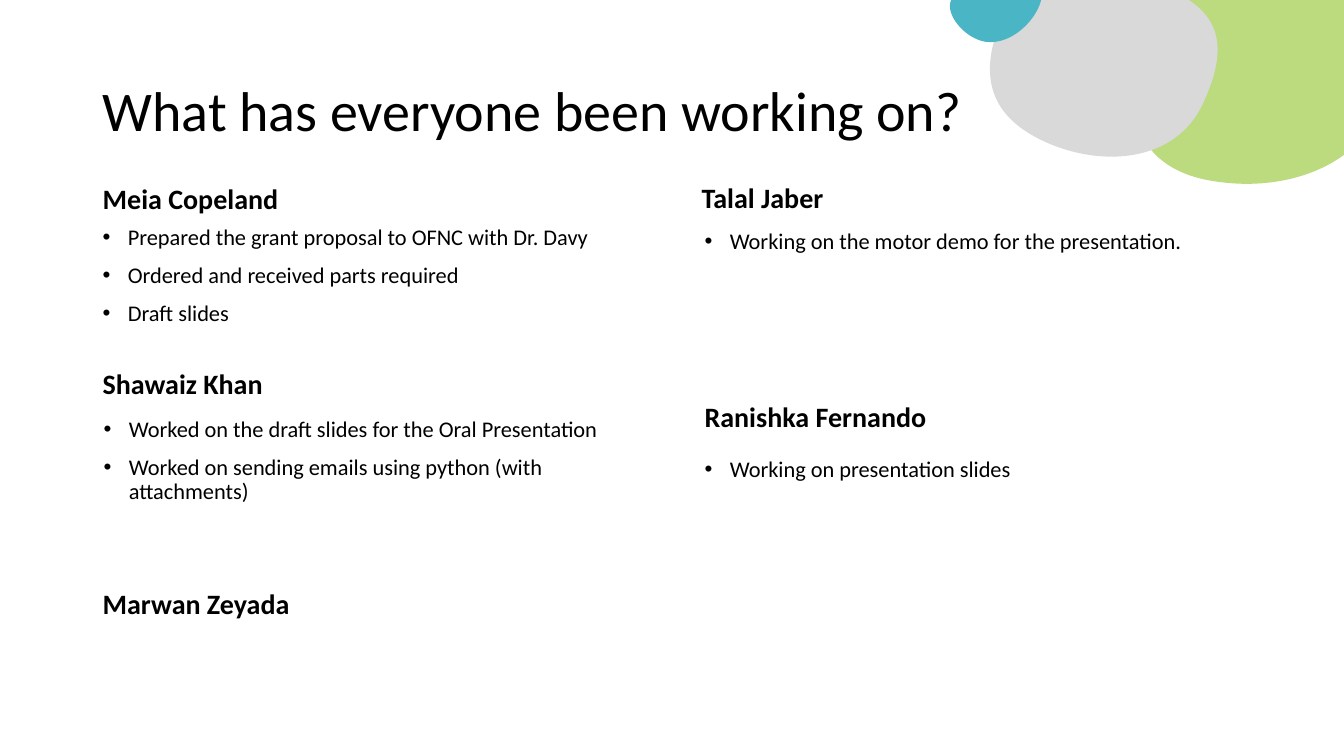
from dataclasses import dataclass

from lxml import etree
from pptx import Presentation
from pptx.dml.color import RGBColor
from pptx.enum.text import MSO_ANCHOR, MSO_AUTO_SIZE, PP_ALIGN
from pptx.oxml.ns import qn
from pptx.util import Inches, Pt

LEFT = PP_ALIGN.LEFT
TOP, MIDDLE, BOTTOM = MSO_ANCHOR.TOP, MSO_ANCHOR.MIDDLE, MSO_ANCHOR.BOTTOM
NO_FIT = MSO_AUTO_SIZE.NONE


@dataclass(frozen=True)
class Theme:
    """Colours, font and type sizes of the slide."""
    font: str = "Calibri"
    text: str = "000000"
    green: str = "BBDB7E"
    grey: str = "D9D9D9"
    teal: str = "4AB5C4"
    title: int = 40
    name: int = 20
    task: int = 16


THEME = Theme()

TITLE = "What has everyone been working on?"
TITLE_BOX = (0.92, 0.4, 11.5, 1.45)

# name, name position, tasks, tasks box, line spacing of the tasks
MEMBERS = [
    ("Meia Copeland", (0.92, 1.59),
     ["Prepared the grant proposal to OFNC with Dr. Davy",
      "Ordered and received parts required",
      "Draft slides"], (0.92, 2.19, 5.64, 1.82), 0.9),
    ("Shawaiz Khan", (0.92, 3.42),
     ["Worked on the draft slides for the Oral Presentation",
      "Worked on sending emails using python (with attachments)"],
     (0.93, 4.1, 5.64, 1.82), 0.9),
    ("Marwan Zeyada", (0.92, 5.61), [], None, None),
    ("Talal Jaber", (6.86, 1.58),
     ["Working on the motor demo for the presentation."],
     (6.89, 2.23, 5.64, 1.26), 0.9),
    ("Ranishka Fernando", (6.89, 3.75),
     ["Working on presentation slides"], (6.89, 4.47, 5.41, 1.95), 1.0),
]
NAME_SIZE = (5.64, 0.6)
INDENT = 0.25

# colour, box, start point, then curves of two control points and an end point
BLOBS = [
    (THEME.green, (11.2, -0.35, 2.6, 2.17), (13.11, -0.32), [
        ((12.37, -0.47), (11.31, -0.23), (11.23, 0.52)),
        ((11.14, 1.27), (11.38, 1.73), (12.13, 1.81)),
        ((12.88, 1.9), (13.67, 1.56), (13.76, 0.81)),
        ((13.84, 0.06), (13.6, -0.22), (13.11, -0.32))]),
    (THEME.grey, (9.81, -0.33, 2.28, 1.9), (11.71, -0.05), [
        ((11.16, -0.38), (10.24, -0.47), (9.97, 0.11)),
        ((9.7, 0.69), (9.77, 1.13), (10.35, 1.4)),
        ((10.93, 1.67), (11.66, 1.61), (11.93, 1.03)),
        ((12.2, 0.45), (12.08, 0.16), (11.71, -0.05))]),
    (THEME.teal, (9.43, -0.2, 0.92, 0.61), (9.43, 0.01), [
        ((9.38, 0.14), (9.55, 0.36), (9.75, 0.41)),
        ((10.09, 0.48), (10.39, 0.05), (10.32, -0.09)),
        ((10.24, -0.27), (9.5, -0.22), (9.43, 0.01))]),
]


def apply(obj, **values):
    """Set each given attribute on an object."""
    for key, value in values.items():
        setattr(obj, key, value)


def add_step(outline, tag, points, left, top):
    """Append one drawing step, with points relative to the box."""
    step = etree.SubElement(outline, qn(tag))
    for x, y in points:
        pt = etree.SubElement(step, qn("a:pt"))
        pt.set("x", str(Inches(x - left)))
        pt.set("y", str(Inches(y - top)))


def add_blob(s, colour, box, start, curves):
    """Draw one rounded blob of true curves without an outline."""
    left, top, width, height = box
    builder = s.shapes.build_freeform(Inches(left), Inches(top))
    builder.add_line_segments([(Inches(left + width), Inches(top + height))])
    sp = builder.convert_to_shape()
    outline = next(sp._element.iter(qn("a:path")))
    for step in list(outline):
        outline.remove(step)
    add_step(outline, "a:moveTo", [start], left, top)
    for curve in curves:
        add_step(outline, "a:cubicBezTo", curve, left, top)
    add_step(outline, "a:close", [], left, top)
    sp.shadow.inherit = False
    sp.fill.solid()
    sp.fill.fore_color.rgb = RGBColor.from_string(colour)
    sp.line.fill.background()


def add_bullet(p):
    """Give a paragraph a hanging round bullet."""
    pPr = p._p.get_or_add_pPr()
    pPr.set("marL", str(Inches(INDENT)))
    pPr.set("indent", str(-Inches(INDENT)))
    etree.SubElement(pPr, qn("a:buFont")).set("typeface", "Arial")
    etree.SubElement(pPr, qn("a:buChar")).set("char", "•")


def write(sp, box, lines, size, anchor, bold=False, bullets=False,
          spacing=0.9, before=10):
    """Place a text shape and fill it with one paragraph per line."""
    apply(sp, **dict(zip(("left", "top", "width", "height"), map(Inches, box))))
    tf = sp.text_frame
    apply(tf, word_wrap=True, auto_size=NO_FIT, vertical_anchor=anchor)
    for i, line in enumerate(lines):
        p = tf.add_paragraph() if i else tf.paragraphs[0]
        apply(p, alignment=LEFT, line_spacing=spacing, space_before=Pt(before))
        if bullets:
            add_bullet(p)
        r = p.add_run()
        r.text = line
        apply(r.font, name=THEME.font, size=Pt(size), bold=bold)
        r.font.color.rgb = RGBColor.from_string(THEME.text)


def add_text(s, box, *args, **kwargs):
    """Add a text box and write into it."""
    write(s.shapes.add_textbox(*map(Inches, box)), box, *args, **kwargs)


prs = Presentation()
prs.slide_width, prs.slide_height = Inches(13.33), Inches(7.5)
s = prs.slides.add_slide(prs.slide_layouts[5])

for blob in BLOBS:
    add_blob(s, *blob)
write(s.shapes.title, TITLE_BOX, [TITLE], THEME.title, MIDDLE, before=0)
for name, position, tasks, box, spacing in MEMBERS:
    add_text(s, position + NAME_SIZE, [name], THEME.name, BOTTOM, bold=True)
    if tasks:
        add_text(s, box, tasks, THEME.task, TOP, bullets=True, spacing=spacing)

prs.save("out.pptx")
